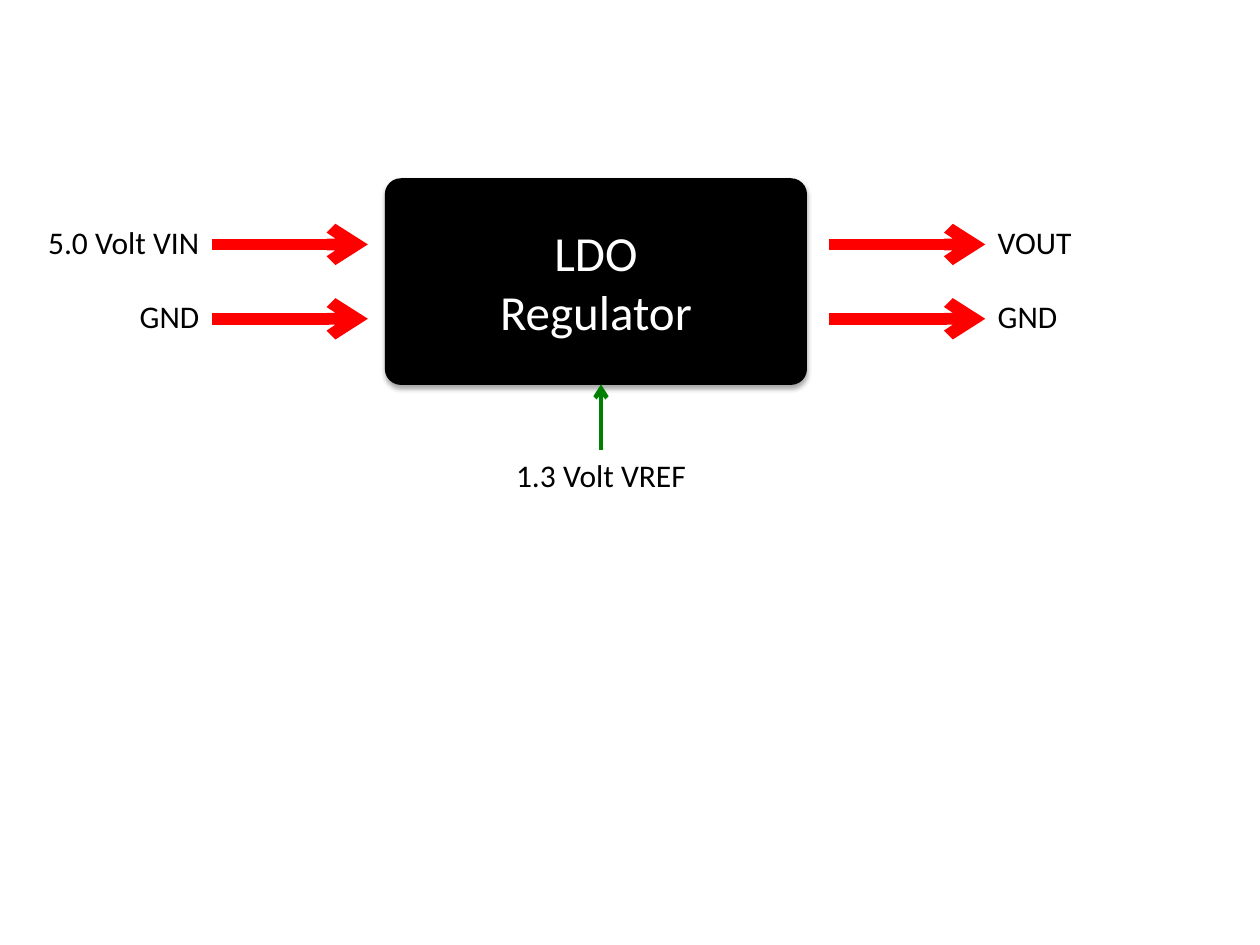
"""Draw an LDO regulator block with its input, output and reference pins."""
from dataclasses import dataclass

from lxml.etree import SubElement as Sub
from pptx import Presentation
from pptx.dml.color import RGBColor
from pptx.enum.shapes import MSO_CONNECTOR as Conn, MSO_SHAPE as Kind
from pptx.enum.text import MSO_ANCHOR as Anchor, MSO_AUTO_SIZE as Fit, PP_ALIGN as Align
from pptx.oxml.ns import qn
from pptx.util import Inches, Pt

WIDE, HIGH = 1.7, 0.4
LEFT, RIGHT, RUN = 1.68, 6.58, 1.24
ROWS = (1.94, 2.53)
REF, BASE, FOOT = 4.77, 3.05, 3.57
RED, GREEN, BLACK, WHITE = "FF0000", "008000", "000000", "FFFFFF"


@dataclass
class Pin:
    text: str
    left: float
    top: float
    align: Align
    start: tuple[float, float]
    end: tuple[float, float]
    color: str = RED
    width: float = 6.75


def tint(color: str) -> RGBColor:
    return RGBColor.from_string(color)


def write(frame, text: str, size: int, color: str, align: Align) -> None:
    frame.text = text
    for para in frame.paragraphs:
        para.alignment = align
        font = para.runs[0].font
        for name, value in {"name": "Calibri", "size": Pt(size)}.items():
            setattr(font, name, value)
        font.color.rgb = tint(color)


def block(shapes) -> None:
    box = shapes.add_shape(Kind.ROUNDED_RECTANGLE, Inches(3.06), Inches(1.42), Inches(3.34), Inches(1.63))
    box.adjustments[0] = 0.075
    box.fill.solid()
    box.fill.fore_color.rgb = box.line.color.rgb = tint(BLACK)
    box.line.width = Pt(0.75)
    box.shadow.inherit = False
    look = {"blurRad": Pt(3.1), "dist": Pt(1.8), "dir": 90 * 60000, "rotWithShape": 0}
    shade = Sub(box._element.spPr.find(qn("a:effectLst")), qn("a:outerShdw"),
                {key: str(value) for key, value in look.items()})
    hue = Sub(shade, qn("a:srgbClr"), val=BLACK)
    Sub(hue, qn("a:alpha"), val="35000")
    box.text_frame.vertical_anchor = Anchor.MIDDLE
    write(box.text_frame, "LDO\nRegulator", 28, WHITE, Align.CENTER)


def arrow(shapes, pin: Pin) -> None:
    ends = [Inches(value) for value in (*pin.start, *pin.end)]
    link = shapes.add_connector(Conn.STRAIGHT, *ends)
    link.line.color.rgb = tint(pin.color)
    link.line.width = Pt(pin.width)
    Sub(link.line._get_or_add_ln(), qn("a:tailEnd"), type="arrow")
    Sub(link._element.spPr, qn("a:effectLst"))


def label(shapes, pin: Pin) -> None:
    box = shapes.add_textbox(*map(Inches, (pin.left, pin.top, WIDE, HIGH)))
    for name, value in {"word_wrap": True, "auto_size": Fit.SHAPE_TO_FIT_TEXT}.items():
        setattr(box.text_frame, name, value)
    write(box.text_frame, pin.text, 18, BLACK, pin.align)


def side(text: str, row: float, start: float, left: float, align: Align) -> Pin:
    return Pin(text, left, row - 0.22, align, (start, row), (start + RUN, row))


def main() -> None:
    deck = Presentation()
    deck.slide_width, deck.slide_height = Inches(10), Inches(7.5)
    shapes = deck.slides.add_slide(deck.slide_layouts[6]).shapes
    block(shapes)
    pins = [side(text, row, LEFT, LEFT - WIDE, Align.RIGHT)
            for text, row in zip(("5.0 Volt VIN", "GND"), ROWS)]
    pins.insert(1, Pin("1.3 Volt VREF", REF - WIDE / 2, FOOT, Align.CENTER,
                       (REF, FOOT), (REF, BASE), GREEN, 2.5))
    pins += [side(text, row, RIGHT, RIGHT + RUN, Align.LEFT)
             for text, row in zip(("VOUT", "GND"), ROWS)]
    for pin in pins:
        arrow(shapes, pin)
        label(shapes, pin)
    deck.save("out.pptx")


if __name__ == "__main__":
    main()
